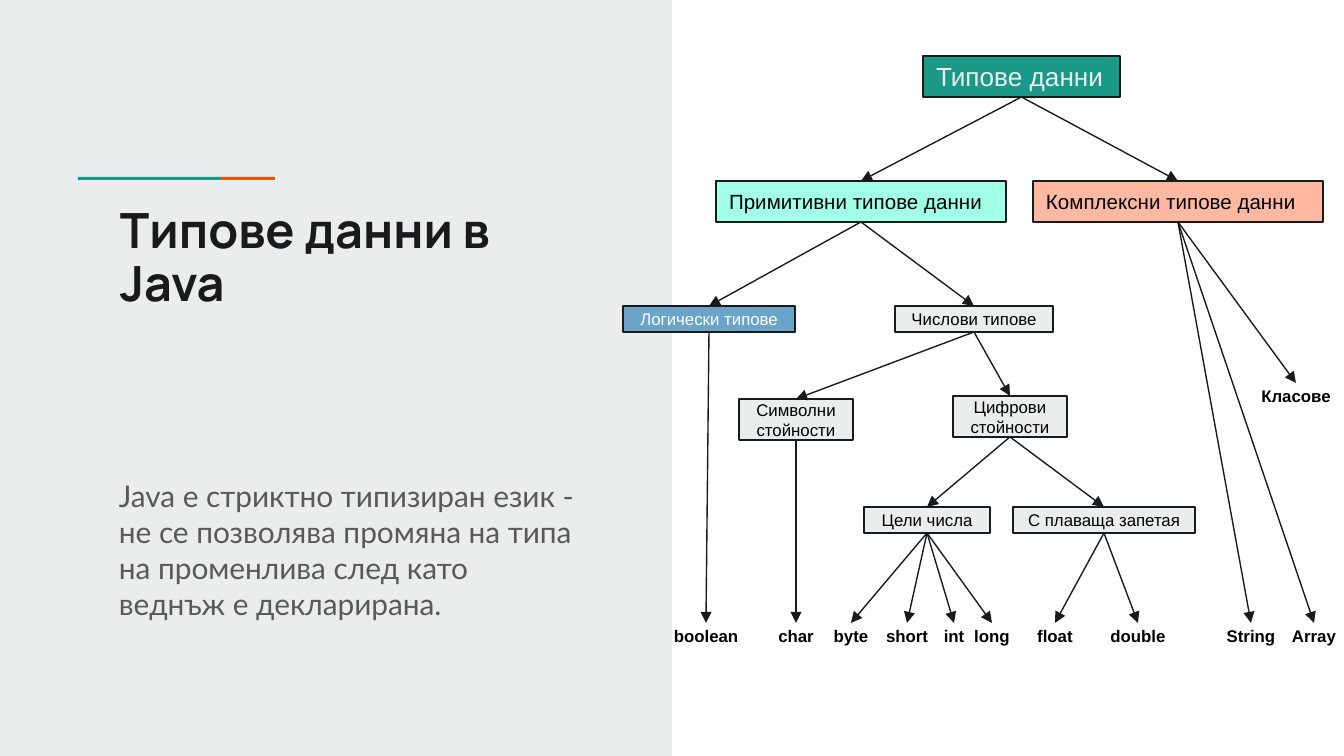
from dataclasses import dataclass

from lxml.etree import SubElement
from pptx import Presentation
from pptx.dml.color import RGBColor
from pptx.enum.shapes import MSO_CONNECTOR, MSO_SHAPE
from pptx.enum.text import MSO_ANCHOR as Anchor, PP_ALIGN as Align
from pptx.oxml.ns import qn
from pptx.util import Emu, Pt

EMU_PER_PX = 914400 / 134.4
PAGE_WIDTH, PAGE_HEIGHT = 1344, 756
INSET = 13
LEAF_TOP, LEAF_HEIGHT = 623, 26
BOTTOM, TOP = 2, 0

INK = RGBColor(0x1A, 0x1A, 0x1A)
BLACK = RGBColor(0x00, 0x00, 0x00)
WHITE = RGBColor(0xFF, 0xFF, 0xFF)
GRAY = RGBColor(0x59, 0x59, 0x59)
PALE = RGBColor(0xE9, 0xED, 0xEE)
TEAL = RGBColor(0x1A, 0x99, 0x88)
ORANGE = RGBColor(0xEB, 0x56, 0x00)
MINT = RGBColor(0xA2, 0xFF, 0xE8)
SALMON = RGBColor(0xFF, 0xB8, 0xA2)
BLUE = RGBColor(0x6A, 0xA4, 0xC8)


@dataclass(frozen=True)
class Style:
    size: int
    color: RGBColor = BLACK
    font: str = "Arial"
    bold: bool = False
    align: Align = Align.CENTER
    anchor: Anchor = Anchor.MIDDLE
    side_inset: int = INSET
    line_spacing: float = 1.0


@dataclass(frozen=True)
class Area:
    left: int
    top: int
    width: int
    height: int


@dataclass(frozen=True)
class Node:
    text: str
    area: Area
    fill: RGBColor
    style: Style


@dataclass(frozen=True)
class Leaf:
    text: str
    center: int
    width: int
    top: int = LEAF_TOP


TITLE = Style(26, INK, "Manrope", True, Align.LEFT, Anchor.TOP, line_spacing=0.9)
BODY = Style(16, GRAY, "Lato", align=Align.LEFT, anchor=Anchor.TOP)
ROOT = Style(14, PALE, align=Align.LEFT)
BRANCH = Style(11, align=Align.LEFT)
SMALL = Style(9)
SMALL_WHITE = Style(9, WHITE)
LEAF = Style(9, bold=True, side_inset=0)

NODES = [
    Node("Типове данни", Area(923, 56, 197, 41), ROOT and TEAL, ROOT),
    Node("Примитивни типове данни", Area(716, 181, 290, 41), MINT, BRANCH),
    Node("Комплексни типове данни", Area(1033, 181, 290, 41), SALMON, BRANCH),
    Node("Логически типове", Area(623, 306, 172, 26), BLUE, SMALL_WHITE),
    Node("Числови типове", Area(895, 306, 158, 26), PALE, SMALL),
    Node("Символни стойности", Area(739, 399, 114, 41), PALE, SMALL),
    Node("Цифрови стойности", Area(953, 396, 114, 41), PALE, SMALL),
    Node("Цели числа", Area(864, 507, 126, 26), PALE, SMALL),
    Node("С плаваща запетая", Area(1013, 507, 182, 26), PALE, SMALL),
]

LEAVES = [
    Leaf("boolean", 706, 98),
    Leaf("char", 796, 62),
    Leaf("byte", 851, 62),
    Leaf("short", 907, 66),
    Leaf("int", 954, 52),
    Leaf("long", 992, 62),
    Leaf("float", 1055, 62),
    Leaf("double", 1138, 78),
    Leaf("String", 1251, 78),
    Leaf("Array", 1314, 78),
    Leaf("Класове", 1296, 78, 383),
]

CHILDREN = {
    "Типове данни": ["Примитивни типове данни", "Комплексни типове данни"],
    "Примитивни типове данни": ["Логически типове", "Числови типове"],
    "Комплексни типове данни": ["String", "Array", "Класове"],
    "Логически типове": ["boolean"],
    "Числови типове": ["Символни стойности", "Цифрови стойности"],
    "Символни стойности": ["char"],
    "Цифрови стойности": ["Цели числа", "С плаваща запетая"],
    "Цели числа": ["byte", "short", "int", "long"],
    "С плаваща запетая": ["float", "double"],
}


def px(length: int) -> Emu:
    return Emu(round(length * EMU_PER_PX))


def bounds(area: Area) -> tuple[Emu, Emu, Emu, Emu]:
    return px(area.left), px(area.top), px(area.width), px(area.height)


def write(box, text: str, style: Style) -> None:
    frame = box.text_frame
    frame.text = text
    frame.word_wrap = True
    frame.vertical_anchor = style.anchor
    frame.margin_left = frame.margin_right = px(style.side_inset)
    frame.margin_top = frame.margin_bottom = px(INSET)
    para = frame.paragraphs[0]
    para.alignment = style.align
    para.line_spacing = style.line_spacing
    font = para.runs[0].font
    font.name, font.size, font.bold = style.font, Pt(style.size), style.bold
    font.color.rgb = style.color


def add_rectangle(page, area: Area, fill: RGBColor):
    box = page.shapes.add_shape(MSO_SHAPE.RECTANGLE, *bounds(area))
    box.shadow.inherit = False
    box.fill.solid()
    box.fill.fore_color.rgb = fill
    box.line.fill.background()
    return box


def add_text(page, area: Area, text: str, style: Style):
    box = page.shapes.add_textbox(*bounds(area))
    write(box, text, style)
    return box


def add_node(page, node: Node):
    box = add_rectangle(page, node.area, node.fill)
    box.line.color.rgb = INK
    box.line.width = Pt(0.75)
    write(box, node.text, node.style)
    return box


def add_leaf(page, leaf: Leaf):
    area = Area(leaf.center - leaf.width // 2, leaf.top, leaf.width, LEAF_HEIGHT)
    return add_text(page, area, leaf.text, LEAF)


def add_arrow(page, parent, child) -> None:
    arrow = page.shapes.add_connector(MSO_CONNECTOR.STRAIGHT, 0, 0, 0, 0)
    arrow.begin_connect(parent, BOTTOM)
    arrow.end_connect(child, TOP)
    arrow.line.color.rgb = INK
    arrow.line.width = Pt(0.75)
    SubElement(arrow.line._get_or_add_ln(), qn("a:tailEnd"), type="triangle")
    SubElement(arrow._element.spPr, qn("a:effectLst"))


def main() -> None:
    deck = Presentation()
    deck.slide_width, deck.slide_height = px(PAGE_WIDTH), px(PAGE_HEIGHT)
    page = deck.slides.add_slide(deck.slide_layouts[6])

    # Left panel with its accent rule
    add_rectangle(page, Area(0, 0, PAGE_WIDTH // 2, PAGE_HEIGHT), PALE)
    add_rectangle(page, Area(221, 177, 54, 3), ORANGE)
    add_rectangle(page, Area(78, 177, 143, 3), TEAL)

    # Title and explanation
    add_text(page, Area(107, 194, 485, 249), "Типове данни в Java", TITLE)
    add_text(
        page,
        Area(106, 465, 485, 160),
        "Java е стриктно типизиран език - не се позволява промяна на типа "
        "на променлива след като веднъж е декларирана.",
        BODY,
    )

    # Type tree
    boxes = {node.text: add_node(page, node) for node in NODES}
    boxes |= {leaf.text: add_leaf(page, leaf) for leaf in LEAVES}
    for parent, children in CHILDREN.items():
        for child in children:
            add_arrow(page, boxes[parent], boxes[child])

    deck.save("out.pptx")


if __name__ == "__main__":
    main()
